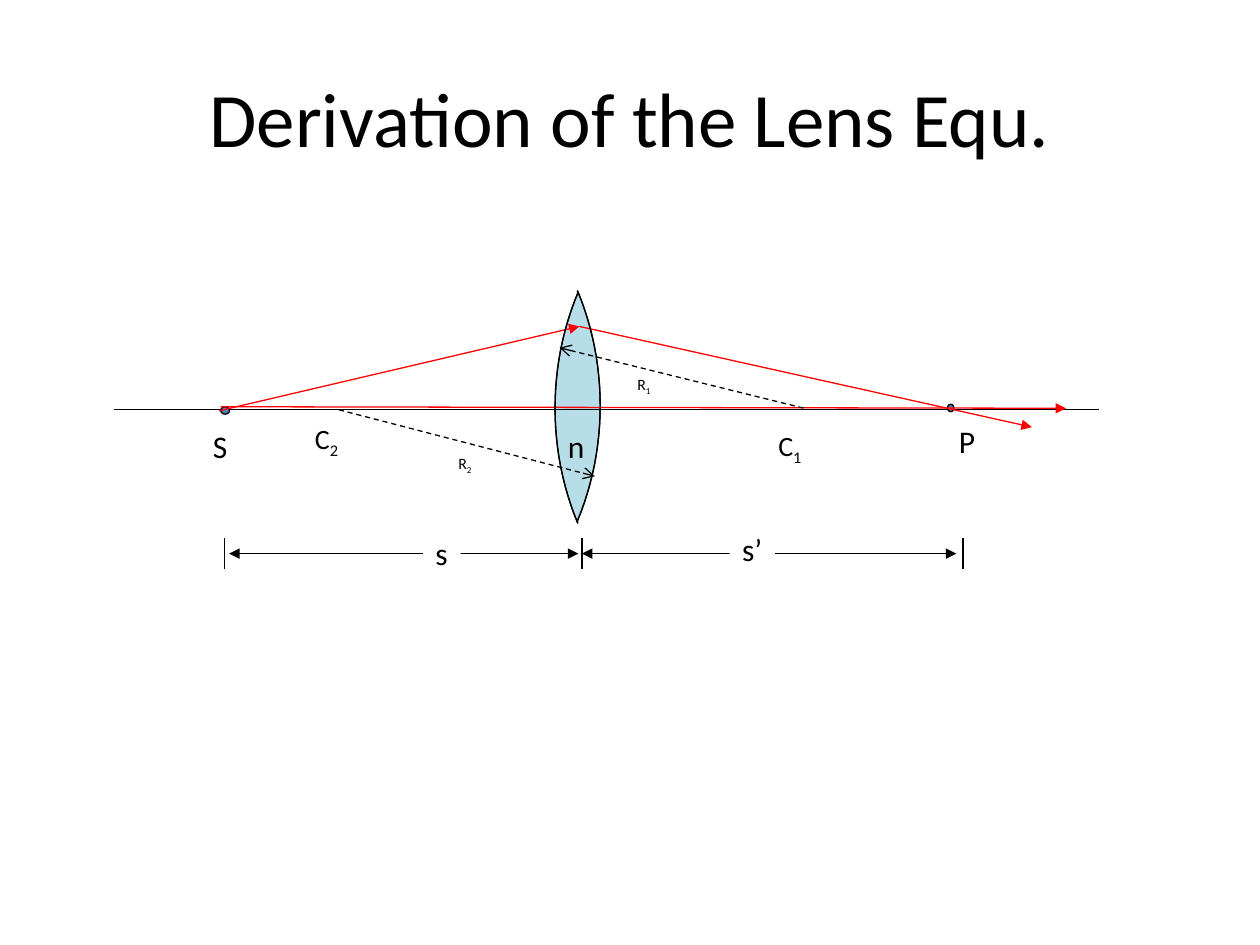
import math
from dataclasses import dataclass

from lxml import etree
from pptx import Presentation
from pptx import util as u
from pptx.dml.color import RGBColor
from pptx.enum import dml, shapes, text
from pptx.oxml.ns import qn


@dataclass(frozen=True)
class Theme:
    font: str = "Calibri"
    ink: RGBColor = RGBColor(0x00, 0x00, 0x00)
    paper: RGBColor = RGBColor(0xFF, 0xFF, 0xFF)
    ray: RGBColor = RGBColor(0xFF, 0x00, 0x00)
    glass: RGBColor = RGBColor(0xB7, 0xDE, 0xE8)
    point: RGBColor = RGBColor(0x4F, 0x81, 0xBD)
    line: u.Pt = u.Pt(0.75)
    title: u.Pt = u.Pt(44)
    label: u.Pt = u.Pt(18)
    centre: u.Pt = u.Pt(16)
    radius: u.Pt = u.Pt(9)


theme = Theme()
deck = Presentation()
deck.slide_width, deck.slide_height = u.Cm(25.4), u.Cm(19.05)
slide = deck.slides.add_slide(deck.slide_layouts[5])


def add_line(x1, y1, x2, y2, color=theme.ink, head=None, tail=None, dashed=False):
    """Draw a line between two points in cm, with optional arrowheads."""
    line = slide.shapes.add_connector(
        shapes.MSO_CONNECTOR.STRAIGHT, u.Cm(x1), u.Cm(y1), u.Cm(x2), u.Cm(y2))
    line.line.color.rgb = color
    line.line.width = theme.line
    if dashed:
        line.line.dash_style = dml.MSO_LINE.DASH
    for end, kind in (("a:headEnd", head), ("a:tailEnd", tail)):
        if kind:
            etree.SubElement(line.line._get_or_add_ln(), qn(end), type=kind)
    etree.SubElement(line._element.spPr, qn("a:effectLst"))


def add_outline(points, closed):
    """Draw a black outline through points in cm."""
    builder = slide.shapes.build_freeform(
        *(u.Cm(v) for v in points[0]), scale=1.0)
    builder.add_line_segments(
        [(u.Cm(x), u.Cm(y)) for x, y in points[1:]], close=closed)
    outline = builder.convert_to_shape()
    outline.shadow.inherit = False
    outline.line.color.rgb = theme.ink
    outline.line.width = theme.line
    return outline


# Title
title = slide.shapes.title
title.left, title.top = u.Cm(1.27), u.Cm(0.76)
title.width, title.height = u.Cm(22.86), u.Cm(3.18)
title.text_frame.text = "Derivation of the Lens Equ."
title.text_frame.vertical_anchor = text.MSO_ANCHOR.MIDDLE
heading = title.text_frame.paragraphs[0]
heading.alignment = text.PP_ALIGN.CENTER
heading.runs[0].font.size = theme.title
heading.runs[0].font.name = theme.font
heading.runs[0].font.color.rgb = theme.ink

# Lens: two elliptical surfaces, each running from top to bottom
angles = [math.radians(27.3 * step / 12) for step in range(-12, 13)]
right_surface = [(8 + 4.1 * math.cos(a), 8.18 + 5.05 * math.sin(a)) for a in angles]
left_surface = [(15.29 - 4.1 * math.cos(a), 8.23 + 5.05 * math.sin(a)) for a in angles]
lens = add_outline(left_surface + right_surface[::-1], closed=True)
lens.fill.solid()
lens.fill.fore_color.rgb = theme.glass

# Optical axis, with source and image points
add_line(2.29, 8.26, 22.15, 8.26)
for left, top, width in ((4.45, 8.2, 0.18), (19.1, 8.15, 0.13)):
    point = slide.shapes.add_shape(
        shapes.MSO_SHAPE.OVAL, u.Cm(left), u.Cm(top), u.Cm(width), u.Cm(0.15))
    point.shadow.inherit = False
    point.fill.solid()
    point.fill.fore_color.rgb = theme.point
    point.line.color.rgb = theme.ink
    point.line.width = theme.line

# Light rays
for ray in ((4.45, 8.2, 21.49, 8.23),
            (4.42, 8.28, 11.68, 6.58),
            (11.68, 6.58, 20.8, 8.61)):
    add_line(*ray, color=theme.ray, tail="triangle")

# Radii of curvature
add_line(11.28, 7.01, 16.21, 8.23, head="arrow", dashed=True)
add_line(6.83, 8.26, 11.99, 9.6, tail="arrow", dashed=True)

# Object and image distances
for tick in (4.52, 11.73, 19.41):
    add_line(tick, 10.85, tick, 11.48)
for start, end in ((4.62, 11.66), (11.73, 19.28)):
    add_line(start, 11.16, end, 11.16, head="triangle", tail="triangle")

# Lens surfaces
for surface in (left_surface, right_surface):
    add_outline(surface, closed=False).fill.background()

# Labels: text, subscript, left, top, width, height, size, covers a line
labels = (
    ("S", "", 4.04, 8.48, 0.81, 1.02, theme.label, False),
    ("P", "", 19.08, 8.38, 0.84, 1.02, theme.label, False),
    ("n", "", 11.2, 8.48, 0.81, 0.84, theme.label, False),
    ("C", "1", 15.44, 8.51, 1.55, 0.94, theme.centre, False),
    ("C", "2", 6.1, 8.38, 1.55, 0.94, theme.centre, False),
    ("R", "1", 12.6, 7.44, 0.86, 0.64, theme.radius, False),
    ("R", "2", 8.99, 9.02, 0.86, 0.64, theme.radius, False),
    ("s", "", 8.53, 10.64, 0.76, 1.02, theme.label, True),
    ("s’", "", 14.71, 10.57, 0.91, 1.02, theme.label, True),
)
for name, subscript, left, top, width, height, size, covers in labels:
    place = [u.Cm(v) for v in (left, top, width, height)]
    if covers:
        label = slide.shapes.add_shape(shapes.MSO_SHAPE.RECTANGLE, *place)
        label.shadow.inherit = False
        label.fill.solid()
        label.fill.fore_color.rgb = theme.paper
        label.line.fill.background()
    else:
        label = slide.shapes.add_textbox(*place)
    frame = label.text_frame
    frame.text = name
    frame.word_wrap = name == "C"
    frame.auto_size = text.MSO_AUTO_SIZE.SHAPE_TO_FIT_TEXT
    frame.vertical_anchor = text.MSO_ANCHOR.TOP
    paragraph = frame.paragraphs[0]
    paragraph.alignment = text.PP_ALIGN.LEFT
    if subscript:
        lowered = paragraph.add_run()
        lowered.text = subscript
        lowered.font._element.set("baseline", "-25000")
    for run in paragraph.runs:
        run.font.size = size
        run.font.name = theme.font
        run.font.color.rgb = theme.ink

deck.save("out.pptx")
